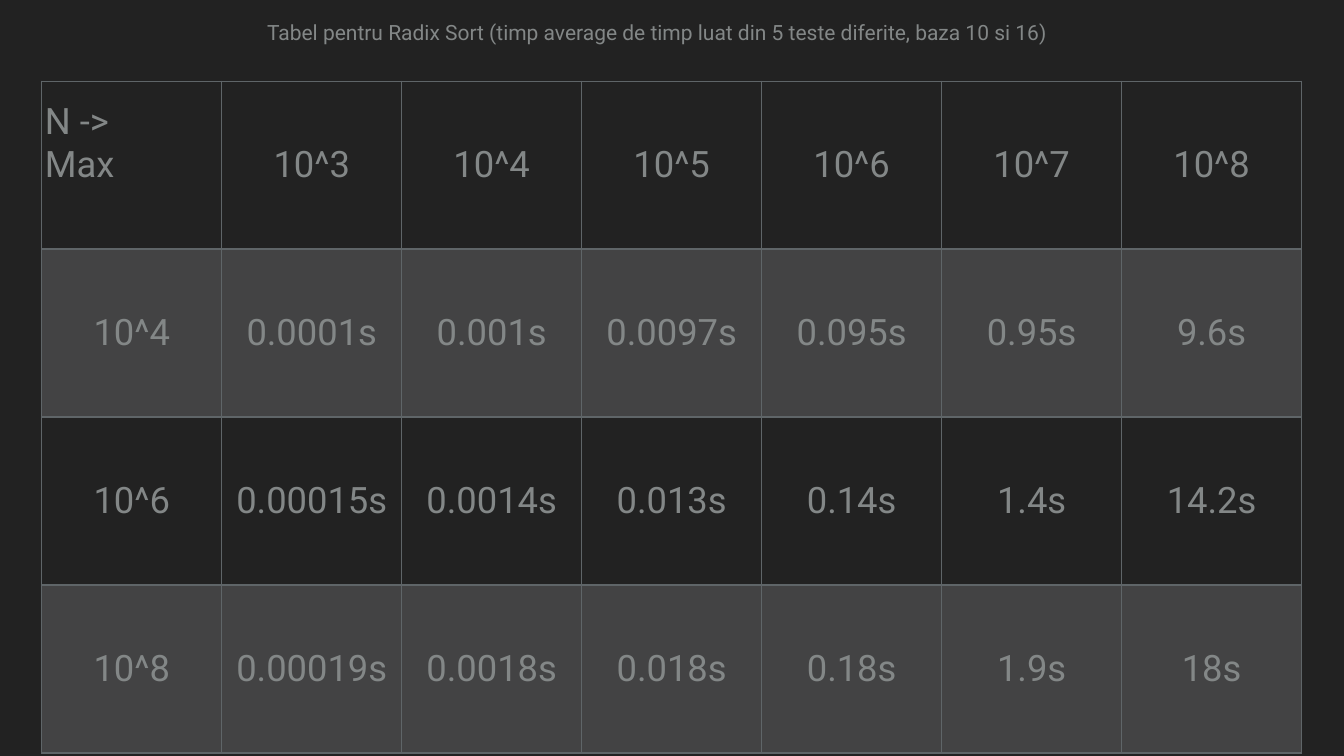
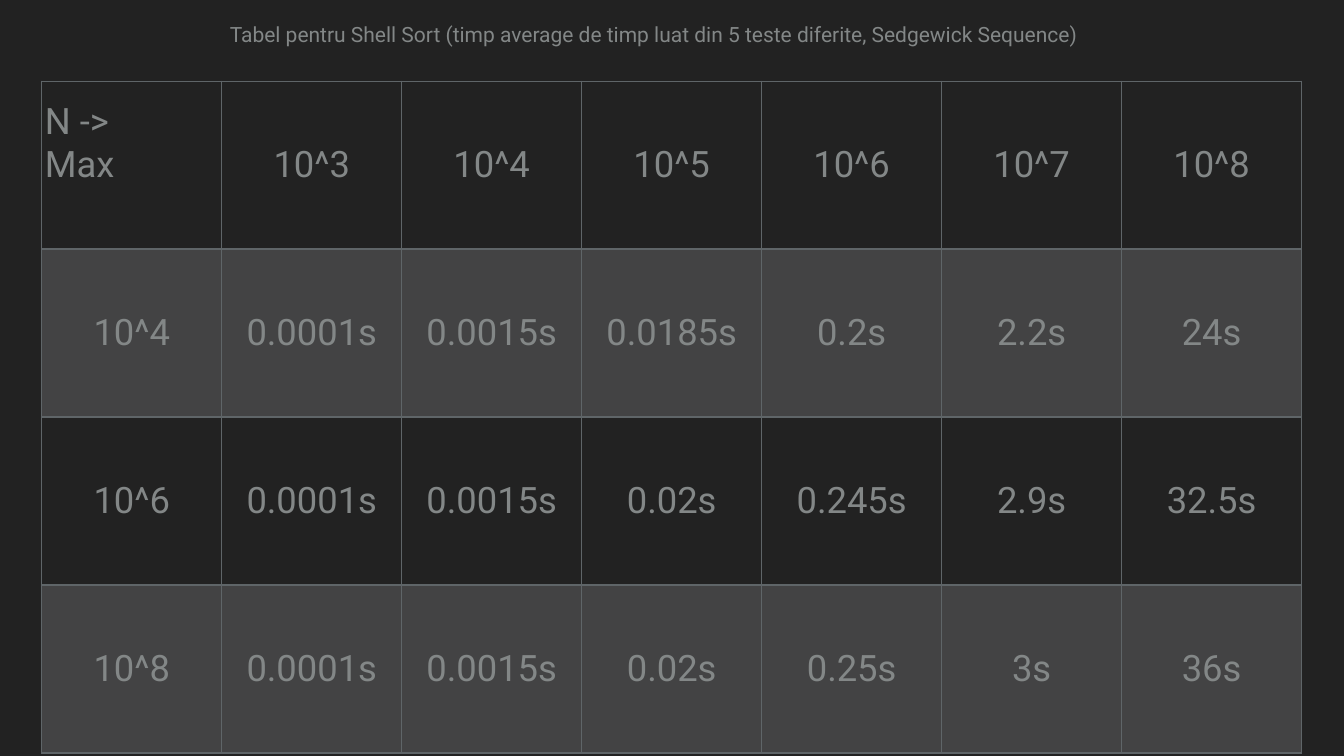
from copy import deepcopy

from pptx import Presentation
from pptx.dml.color import RGBColor
from pptx.enum.text import MSO_ANCHOR as Anchor, MSO_AUTO_SIZE as AutoSize, PP_ALIGN as Align
from pptx.oxml import parse_xml
from pptx.oxml.ns import nsdecls, qn
from pptx.util import Inches, Pt

HEADER = ["N ->\vMax\v", "10^3", "10^4", "10^5", "10^6", "10^7", "10^8"]
SORTS = [
    {
        "title": "Tabel pentru Radix Sort (timp average de timp luat din 5 teste diferite, baza 10 si 16)",
        "title_at": (5.24, 0.3, 16.18, 0.68),
        "times": [
            ["10^4", "0.0001s", "0.001s", "0.0097s", "0.095s", "0.95s", "9.6s"],
            ["10^6", "0.00015s", "0.0014s", "0.013s", "0.14s", "1.4s", "14.2s"],
            ["10^8", "0.00019s", "0.0018s", "0.018s", "0.18s", "1.9s", "18s"],
        ],
    },
    {
        "title": "Tabel pentru Shell Sort (timp average de timp luat din 5 teste diferite, Sedgewick Sequence)",
        "title_at": (4.5, 0.33, 17.66, 0.68),
        "times": [
            ["10^4", "0.0001s", "0.0015s", "0.0185s", "0.2s", "2.2s", "24s"],
            ["10^6", "0.0001s", "0.0015s", "0.02s", "0.245s", "2.9s", "32.5s"],
            ["10^8", "0.0001s", "0.0015s", "0.02s", "0.25s", "3s", "36s"],
        ],
    },
]

BACKGROUND, TEXT, BORDER, BAND = "222222", "838787", "5F6568", "DCDEE0"
BAND_OPACITY = 18
BORDER_WIDTH = 2
FONT = "Roboto"
TITLE_SIZE, CELL_SIZE = 30, 52
SPACE_BEFORE = 34
INSET = Inches(0.06)
TABLE_AT = (0.83, 1.61, 25, 13.33)


def color(hex_code):
    return RGBColor.from_string(hex_code)


def set_insets(target):
    target.margin_left = target.margin_right = INSET
    target.margin_top = target.margin_bottom = INSET


def write(para, text, size, align):
    para.text = text
    para.alignment = align
    para.space_before = Pt(SPACE_BEFORE)
    for span in para.runs:
        span.font.name = FONT
        span.font.size = Pt(size)
        span.font.color.rgb = color(TEXT)


def style_line_breaks(para):
    """Give line breaks and the paragraph end the same height as the text."""
    style = para.runs[0].font._element
    for line_break in para._p.findall(qn("a:br")):
        line_break.append(deepcopy(style))
    end = deepcopy(style)
    end.tag = qn("a:endParaRPr")
    para._p.append(end)


def add_borders(cell):
    properties = cell._tc.get_or_add_tcPr()
    for index, side in enumerate(("lnL", "lnR", "lnT", "lnB")):
        properties.insert(index, parse_xml(
            f'<a:{side} {nsdecls("a")} w="{Pt(BORDER_WIDTH)}"><a:solidFill>'
            f'<a:srgbClr val="{BORDER}"/></a:solidFill></a:{side}>'))


def fill_cell(cell, banded):
    if not banded:
        cell.fill.background()
        return
    cell.fill.solid()
    cell.fill.fore_color.rgb = color(BAND)
    shade = cell._tc.tcPr.find(qn("a:solidFill")).find(qn("a:srgbClr"))
    shade.append(parse_xml(f'<a:alpha {nsdecls("a")} val="{BAND_OPACITY * 1000}"/>'))


def add_times_table(page, rows):
    left, top, width, height = TABLE_AT
    frame = page.shapes.add_table(len(rows), len(HEADER), *map(Inches, TABLE_AT))
    table = frame.table
    table.first_row = table.horz_banding = False
    for column in table.columns:
        column.width = Inches(width / len(HEADER))
    for row_index, values in enumerate(rows):
        table.rows[row_index].height = Inches(height / len(rows))
        for column_index, value in enumerate(values):
            cell = table.cell(row_index, column_index)
            cell.vertical_anchor = Anchor.MIDDLE
            set_insets(cell)
            para = cell.text_frame.paragraphs[0]
            is_corner = row_index == column_index == 0
            write(para, value, CELL_SIZE, Align.LEFT if is_corner else Align.CENTER)
            if is_corner:
                style_line_breaks(para)
            fill_cell(cell, banded=row_index % 2 == 1)
            add_borders(cell)


def add_title(page, text, place):
    box = page.shapes.add_textbox(*map(Inches, place))
    frame = box.text_frame
    frame.word_wrap = False
    frame.auto_size = AutoSize.SHAPE_TO_FIT_TEXT
    frame.vertical_anchor = Anchor.MIDDLE
    set_insets(frame)
    write(frame.paragraphs[0], text, TITLE_SIZE, Align.LEFT)


def main():
    deck = Presentation()
    deck.slide_width, deck.slide_height = Inches(26.67), Inches(15)
    for sort in SORTS:
        page = deck.slides.add_slide(deck.slide_layouts[6])
        page.background.fill.solid()
        page.background.fill.fore_color.rgb = color(BACKGROUND)
        add_times_table(page, [HEADER] + sort["times"])
        add_title(page, sort["title"], sort["title_at"])
    deck.save("out.pptx")


if __name__ == "__main__":
    main()
